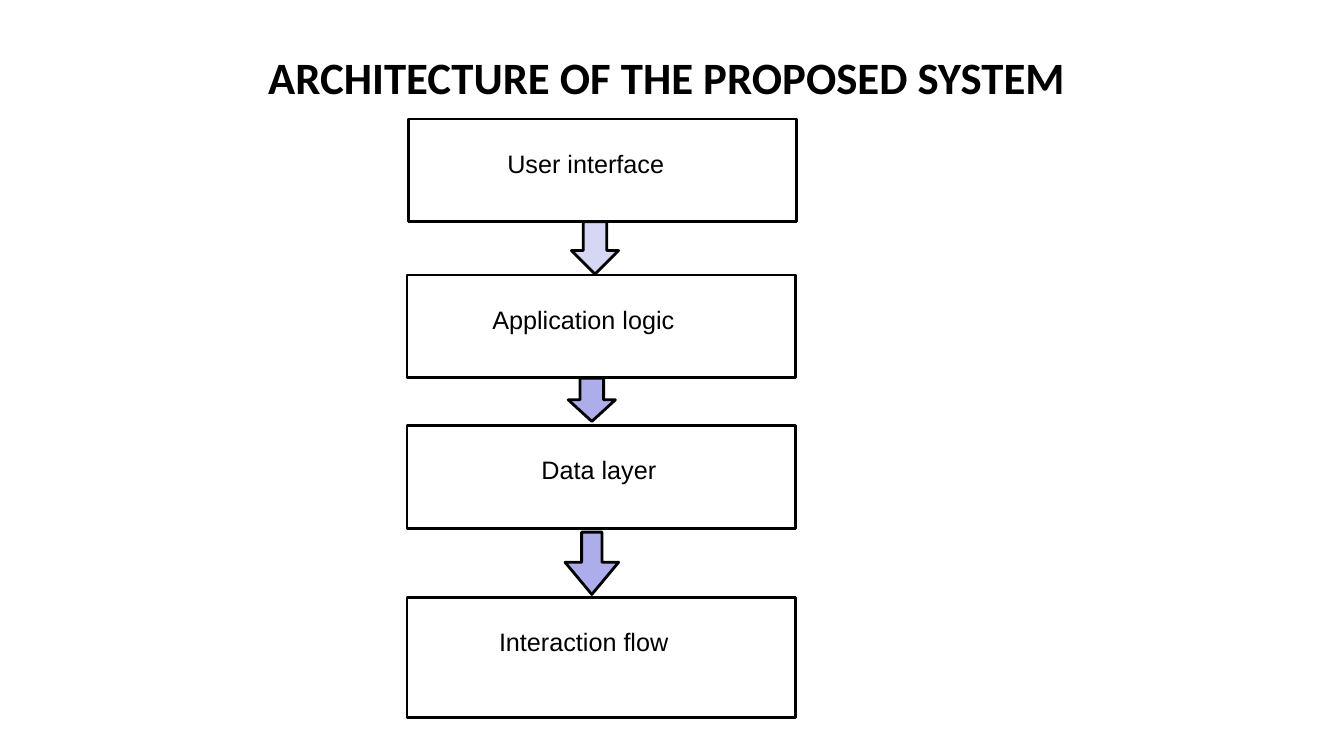
from dataclasses import dataclass
from pptx import Presentation
from pptx import util as u
from pptx.dml.color import RGBColor
from pptx.enum import shapes, text

# Content: lengths in cm
TITLE = "ARCHITECTURE OF THE PROPOSED SYSTEM"
# label, left, top, height, text indent
LAYERS = [
    ("User interface", 10.29, 3.0, 2.59, 2.25),
    ("Application logic", 10.26, 6.93, 2.59, 1.9),
    ("Data layer", 10.26, 10.72, 2.59, 3.14),
    ("Interaction flow", 10.26, 15.06, 3.02, 2.07),
]
# centre, top, width, height, fill, shaft and head adjustments
ARROWS = [
    (15.0, 5.59, 1.19, 1.32, "pale", (0.5, 0.5)),
    (14.92, 9.53, 1.19, 1.09, "mid", (0.5, 0.5)),
    (14.92, 13.41, 1.35, 1.57, "mid", (0.38, 0.6)),
]
WIDTH = 9.8


@dataclass
class Theme:
    ink: str = "000000"
    paper: str = "FFFFFF"
    pale: str = "D6D6F5"
    mid: str = "ADADEB"
    head: int = 32
    body: int = 18
    line: int = 2


theme = Theme()


def color(name):
    return RGBColor.from_string(getattr(theme, name))


def place(item, left, top, width, height):
    item.left, item.top = u.Cm(left), u.Cm(top)
    item.width, item.height = u.Cm(width), u.Cm(height)


def write(para, words, face, size, bold=False):
    run = para.add_run()
    run.text = words
    run.font.name, run.font.size, run.font.bold = face, u.Pt(size), bold
    run.font.color.rgb = color("ink")


def draw(slide, kind, left, top, width, height, fill):
    item = slide.shapes.add_shape(
        kind, u.Cm(left), u.Cm(top), u.Cm(width), u.Cm(height))
    item.shadow.inherit = False
    item.fill.solid()
    item.fill.fore_color.rgb = color(fill)
    item.line.color.rgb = color("ink")
    item.line.width = u.Pt(theme.line)
    return item


def main():
    deck = Presentation()
    deck.slide_width, deck.slide_height = u.Cm(33.88), u.Cm(19.05)
    slide = deck.slides.add_slide(deck.slide_layouts[5])

    # Title
    title = slide.shapes.title
    place(title, 5.38, 0.53, 22.86, 2.11)
    frame = title.text_frame
    frame.auto_size = text.MSO_AUTO_SIZE.NONE
    frame.vertical_anchor = text.MSO_ANCHOR.MIDDLE
    para = frame.paragraphs[0]
    para.alignment, para.line_spacing = text.PP_ALIGN.CENTER, 1.5
    write(para, TITLE, "Calibri", theme.head, True)

    # Layers
    for label, left, top, height, indent in LAYERS:
        box = draw(slide, shapes.MSO_SHAPE.RECTANGLE,
                   left, top, WIDTH, height, "paper")
        frame = box.text_frame
        frame.word_wrap = True
        frame.vertical_anchor = text.MSO_ANCHOR.TOP
        frame.margin_left, frame.margin_top = u.Cm(0.25 + indent), u.Cm(0.8)
        para = frame.paragraphs[0]
        para.alignment, para.line_spacing = text.PP_ALIGN.LEFT, 0.93
        write(para, label, "Arial", theme.body)

    # Arrows between layers
    for mid, top, width, height, fill, bends in ARROWS:
        arrow = draw(slide, shapes.MSO_SHAPE.DOWN_ARROW,
                     mid - width / 2, top, width, height, fill)
        for i, bend in enumerate(bends):
            arrow.adjustments[i] = bend

    deck.save("out.pptx")


if __name__ == "__main__":
    main()
